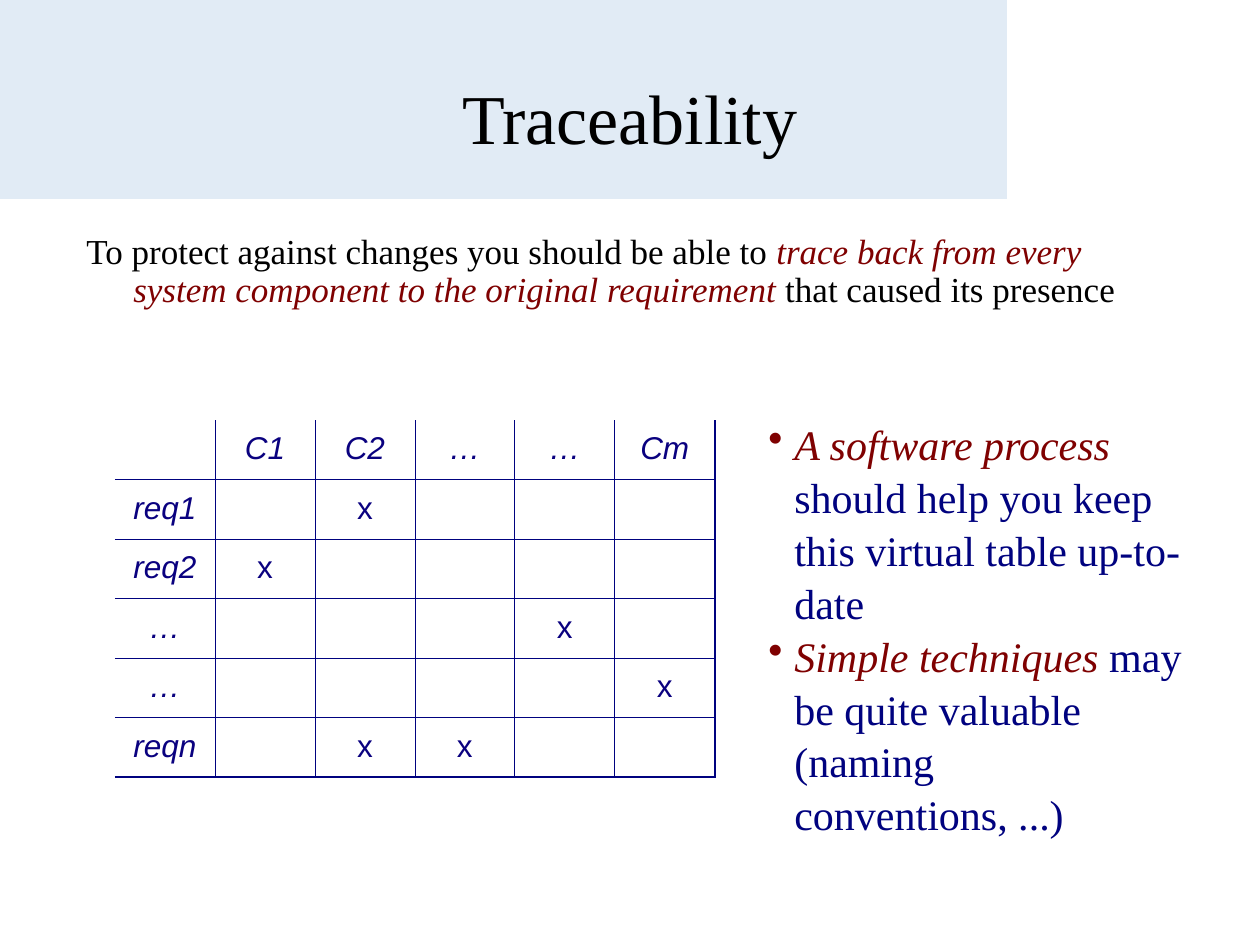
from lxml.etree import SubElement
from pptx import Presentation
from pptx.dml.color import RGBColor
from pptx.enum.shapes import MSO_SHAPE
from pptx.enum.text import MSO_ANCHOR, PP_ALIGN
from pptx.oxml.ns import qn
from pptx.util import Pt

PX = 914400 // 126
BLACK = RGBColor(0x00, 0x00, 0x00)
MAROON = RGBColor(0x7F, 0x01, 0x01)
NAVY = RGBColor(0x00, 0x02, 0x7F)
TABLE_INK = RGBColor(0x0A, 0x01, 0x7F)
BAND = RGBColor(0xE1, 0xEB, 0xF5)
SERIF, SANS = "Times New Roman", "Arial"

# Content: spans are (text, emphasised)
TITLE = [("Traceability", False)]
INTRO = [
    ("To protect against changes you should be able to ", False),
    ("trace back from every system component to the original requirement", True),
    (" that caused its presence", False),
]
POINTS = [
    [("A software process", True),
     (" should help you keep this virtual table up-to-date", False)],
    [("Simple techniques", True),
     (" may be quite valuable (naming conventions, ...)", False)],
]
MATRIX = [
    ["", "C1", "C2", "…", "…", "Cm"],
    ["req1", "", "x", "", "", ""],
    ["req2", "x", "", "", "", ""],
    ["…", "", "", "", "x", ""],
    ["…", "", "", "", "", "x"],
    ["reqn", "", "x", "x", "", ""],
]
COLUMN_WIDTH, TABLE_HEIGHT = 100, 357
THIN, THICK = 0.45, 1.08


def write(frame, paragraphs, size, color, font=SERIF, align=PP_ALIGN.LEFT,
          anchor=MSO_ANCHOR.TOP, spacing=1.0, indent=0, bullet=False,
          italic=False):
    frame.word_wrap = True
    frame.vertical_anchor = anchor
    for number, spans in enumerate(paragraphs):
        para = frame.add_paragraph() if number else frame.paragraphs[0]
        para.alignment = align
        para.line_spacing = spacing
        properties = para._p.get_or_add_pPr()
        properties.set("marL", str(indent * PX))
        properties.set("indent", str(-indent * PX))
        if bullet:
            tint = SubElement(properties, qn("a:buClr"))
            SubElement(tint, qn("a:srgbClr"), val=str(MAROON))
            SubElement(properties, qn("a:buChar"), char="•")
        for text, emphasised in spans:
            span = para.add_run()
            span.text = text
            span.font.name = font
            span.font.size = Pt(size)
            span.font.italic = italic or emphasised
            span.font.color.rgb = MAROON if emphasised else color


def add_text(page, paragraphs, left, top, width, height, **style):
    box = page.shapes.add_textbox(left * PX, top * PX, width * PX, height * PX)
    write(box.text_frame, paragraphs, **style)


def set_border(cell, side, width):
    line = SubElement(cell._tc.get_or_add_tcPr(), qn(f"a:{side}"),
                      w=str(int(Pt(width))))
    if width:
        fill = SubElement(line, qn("a:solidFill"))
        SubElement(fill, qn("a:srgbClr"), val=str(NAVY))
    else:
        SubElement(line, qn("a:noFill"))


def add_matrix(page, left, top):
    count = len(MATRIX)
    last = count - 1
    table = page.shapes.add_table(count, count, left * PX, top * PX,
                                  count * COLUMN_WIDTH * PX,
                                  TABLE_HEIGHT * PX).table
    table.first_row = table.horz_banding = False
    for column in table.columns:
        column.width = COLUMN_WIDTH * PX
    for r, values in enumerate(MATRIX):
        for c, text in enumerate(values):
            cell = table.cell(r, c)
            if text:
                write(cell.text_frame, [[(text, False)]], size=18,
                      color=TABLE_INK, font=SANS, align=PP_ALIGN.CENTER,
                      spacing=0.95, italic=r == 0 or c == 0)
            cell.vertical_anchor = MSO_ANCHOR.MIDDLE
            # Open on the left and top, heavier on the right and bottom
            set_border(cell, "lnL", THIN if c else 0)
            set_border(cell, "lnR", THICK if c == last else THIN)
            set_border(cell, "lnT", THIN if r else 0)
            set_border(cell, "lnB", THICK if r == last else THIN)
            cell.fill.background()


deck = Presentation()
deck.slide_width, deck.slide_height = 1260 * PX, 945 * PX
page = deck.slides.add_slide(deck.slide_layouts[6])

# Header band and title
band = page.shapes.add_shape(MSO_SHAPE.RECTANGLE, 0, 0, 1007 * PX, 199 * PX)
band.shadow.inherit = False
band.fill.solid()
band.fill.fore_color.rgb = BAND
band.line.fill.background()
add_text(page, [TITLE], 63, 27, 1134, 180, size=40, color=BLACK,
         align=PP_ALIGN.CENTER, anchor=MSO_ANCHOR.MIDDLE)

# Introduction, traceability matrix and remarks
add_text(page, [INTRO], 74, 228, 1111, 160, size=20, color=BLACK,
         spacing=0.9, indent=47)
add_matrix(page, 115, 420)
add_text(page, POINTS, 756, 410, 465, 416, size=24, color=NAVY,
         spacing=1.05, indent=26, bullet=True)

deck.save("out.pptx")
